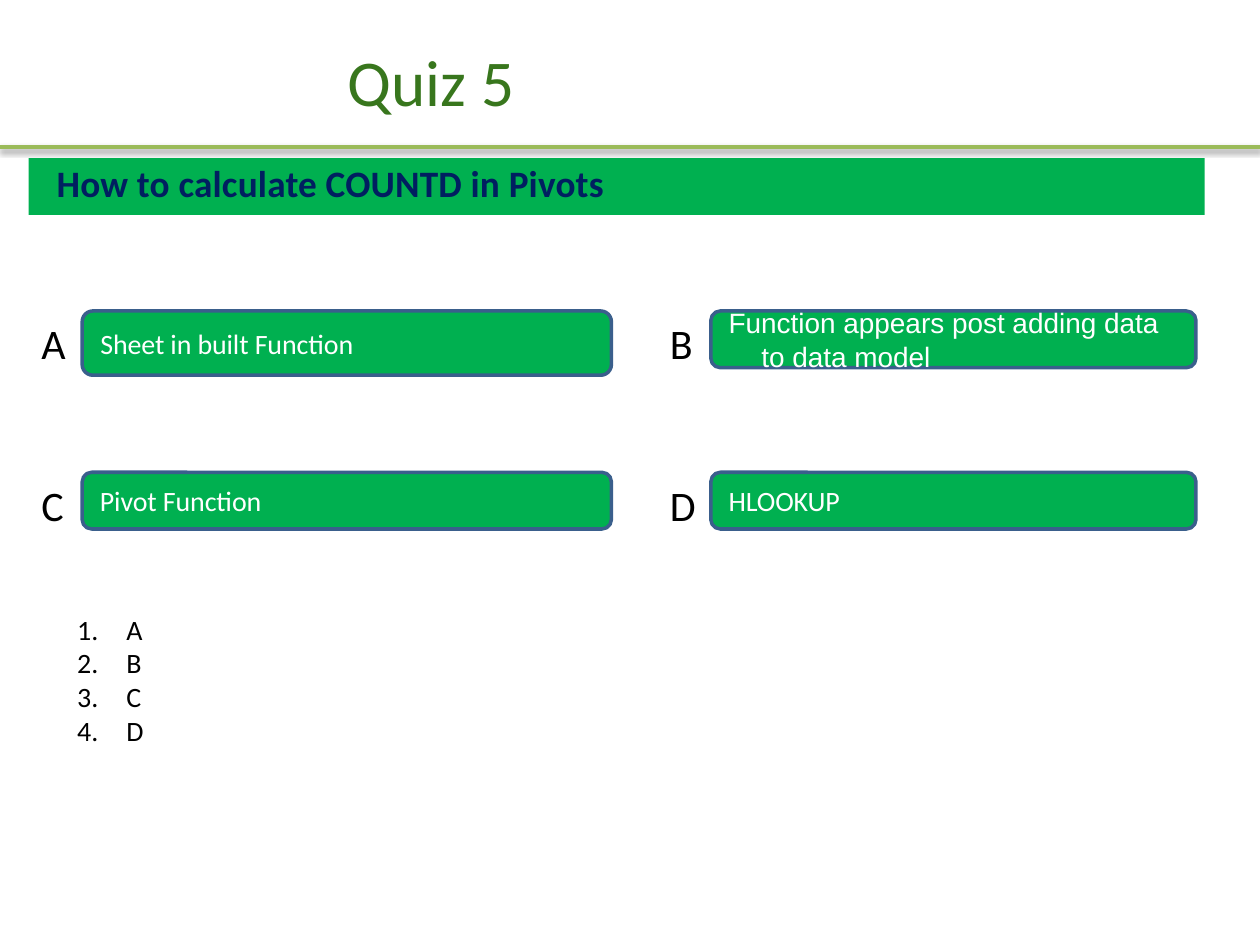
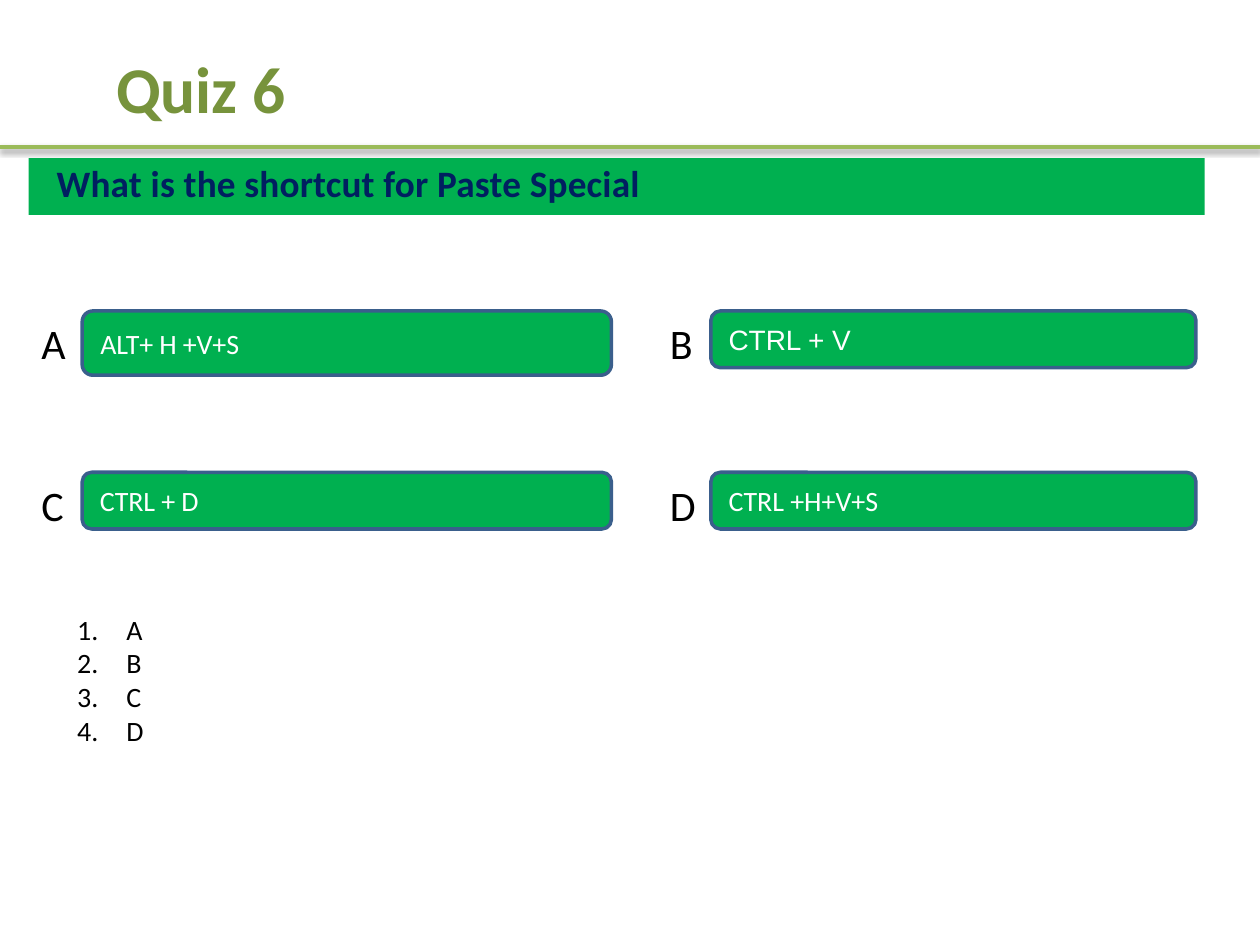
from pptx import Presentation
from pptx.dml.color import RGBColor
from pptx.enum import shapes, text
from pptx.oxml import parse_xml
from pptx.oxml.ns import nsdecls
from pptx.util import Pt

HUES = {"band": "00B050", "edge": "3A5F8C", "rule": "9BBB59", "ask": "001F60",
        "leaf": "38761D", "moss": "77933C", "white": "FFFFFF", "black": "000000"}
PAD = (7.2, 3.6, 7.2, 3.6)
LETTERS = "ABCD"

QUIZZES = [
    {"title": "Quiz 5", "box": (23.8, 14.4, 444.2, 46), "hue": "leaf", "bold": False,
     "ask": "How to calculate COUNTD in Pivots",
     "picks": ["Sheet in built Function", "Function appears post adding data to data model",
               "Pivot Function", "HLOOKUP"],
     "gaps": [-6, 0, -6, -6]},
    {"title": "Quiz 6", "box": (0.4, 18, 228.2, 46), "hue": "moss", "bold": True,
     "ask": "What is the shortcut for Paste Special",
     "picks": ["ALT+ H +V+S", "CTRL + V", "CTRL + D", "CTRL +H+V+S"],
     "gaps": [-6, 0, -6, 0]},
]


def color(name):
    return RGBColor.from_string(HUES[name])


def place(shape, box):
    shape.left, shape.top, shape.width, shape.height = map(Pt, box)


def write(shape, words, size, hue, font="Calibri", bold=False, gap=0, pad=PAD,
          anchor=text.MSO_ANCHOR.TOP, align=text.PP_ALIGN.LEFT, left=0, first=0, before=0):
    frame = shape.text_frame
    frame.text = words
    frame.word_wrap = True
    frame.auto_size = text.MSO_AUTO_SIZE.NONE
    frame.vertical_anchor = anchor
    frame.margin_left, frame.margin_top, frame.margin_right, frame.margin_bottom = map(Pt, pad)
    for para in frame.paragraphs:
        para.alignment = align
        para.space_before = Pt(before)
        props = para._p.get_or_add_pPr()
        props.set("marL", str(Pt(left)))
        props.set("indent", str(Pt(first)))
        for run in para.runs:
            run.font.name = font
            run.font.size = Pt(size)
            run.font.bold = bold
            run.font.color.rgb = color(hue)
            if gap:
                run._r.get_or_add_rPr().set("spc", str(gap))


def add_block(slide, kind, box):
    block = slide.shapes.add_shape(kind, *map(Pt, box))
    block.shadow.inherit = False
    block.fill.solid()
    block.fill.fore_color.rgb = color("band")
    block.line.fill.background()
    return block


def add_title(slide, quiz):
    title = slide.shapes.title
    place(title, quiz["box"])
    write(title, quiz["title"], 37.3, quiz["hue"], bold=quiz["bold"], pad=(9.4,) * 4,
          align=text.PP_ALIGN.CENTER, left=0.7)


def add_ask(slide, words, box):
    x, y, w, h = box
    add_block(slide, shapes.MSO_SHAPE.RECTANGLE, box)
    label = slide.shapes.add_textbox(Pt(x + 15.3), Pt(y - 0.3), Pt(w - 20), Pt(27.4))
    write(label, words, 21.3, "ask", bold=True, gap=14, pad=(0, 1.4, 0, 0),
          left=0.7, before=1.3)


def add_pick(slide, letter, words, font, gap, box):
    x, y, w, h = box
    card = add_block(slide, shapes.MSO_SHAPE.ROUNDED_RECTANGLE, box)
    card.line.color.rgb = color("edge")
    card.line.width = Pt(2)
    write(card, words, 16, "white", font=font, gap=gap,
          anchor=text.MSO_ANCHOR.MIDDLE, left=20.2, first=-18.7)
    mark = slide.shapes.add_textbox(Pt(x - 30.5), Pt(y + 0.3), Pt(15.1), Pt(36.7))
    write(mark, letter, 24, "black")


def add_picks(slide, quiz, x, y):
    for n, words in enumerate(quiz["picks"]):
        row, col = divmod(n, 2)
        box = (x + col * 359.2, y + row * 92.2,
               277.2 if col else 302.4, 36.7 if n == 0 else 32.4)
        font = "Arial" if n == 1 else "Calibri"
        add_pick(slide, LETTERS[n], words, font, quiz["gaps"][n], box)


def add_list(slide, box):
    body = slide.placeholders[1]
    place(body, box)
    write(body, "\n".join(LETTERS), 16, "black", left=28.1, first=-28.1)
    for para in body.text_frame.paragraphs:
        props = para._p.get_or_add_pPr()
        props.append(parse_xml(f'<a:buFont {nsdecls("a")} typeface="Calibri"/>'))
        props.append(parse_xml(f'<a:buAutoNum {nsdecls("a")} type="arabicPeriod"/>'))


def add_rule(slide, y, w):
    rule = slide.shapes.add_connector(shapes.MSO_CONNECTOR.STRAIGHT, 0, Pt(y), w, Pt(y))
    rule.line.color.rgb = color("rule")
    rule.line.width = Pt(2)
    rule._element.spPr.append(parse_xml(
        f'<a:effectLst {nsdecls("a")}><a:outerShdw blurRad="{Pt(3.1)}" dist="{Pt(1.6)}" '
        f'dir="5400000" rotWithShape="0"><a:srgbClr val="{HUES["black"]}">'
        '<a:alpha val="38000"/></a:srgbClr></a:outerShdw></a:effectLst>'))


def add_quiz(deck, quiz):
    slide = deck.slides.add_slide(deck.slide_layouts[1])
    add_title(slide, quiz)
    add_ask(slide, quiz["ask"], (16.4, 90.4, 672, 32.4))
    add_picks(slide, quiz, 47, 177.7)
    add_list(slide, (36.9, 346.3, 410.4, 104.4))
    add_rule(slide, 84.1, deck.slide_width)


def main():
    deck = Presentation()
    deck.slide_width, deck.slide_height = Pt(720), Pt(540)
    for quiz in QUIZZES:
        add_quiz(deck, quiz)
    deck.save("out.pptx")


if __name__ == "__main__":
    main()
